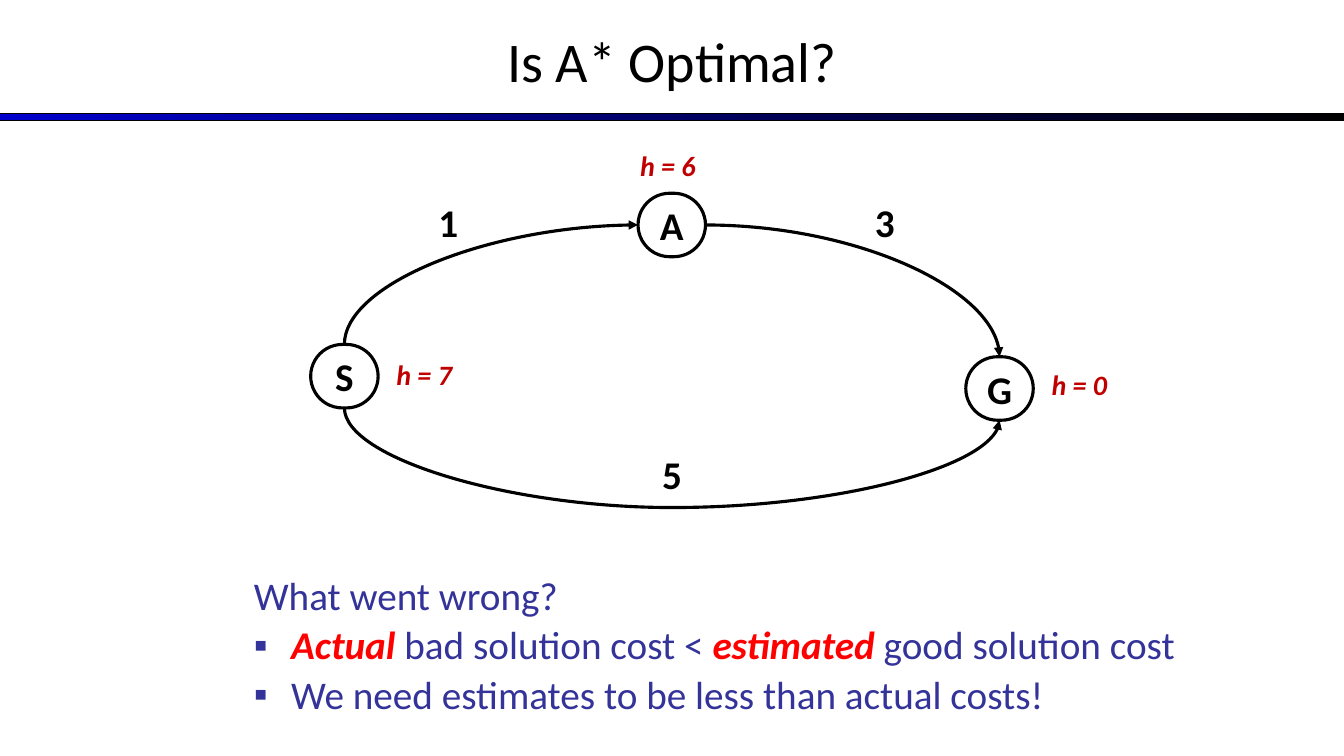
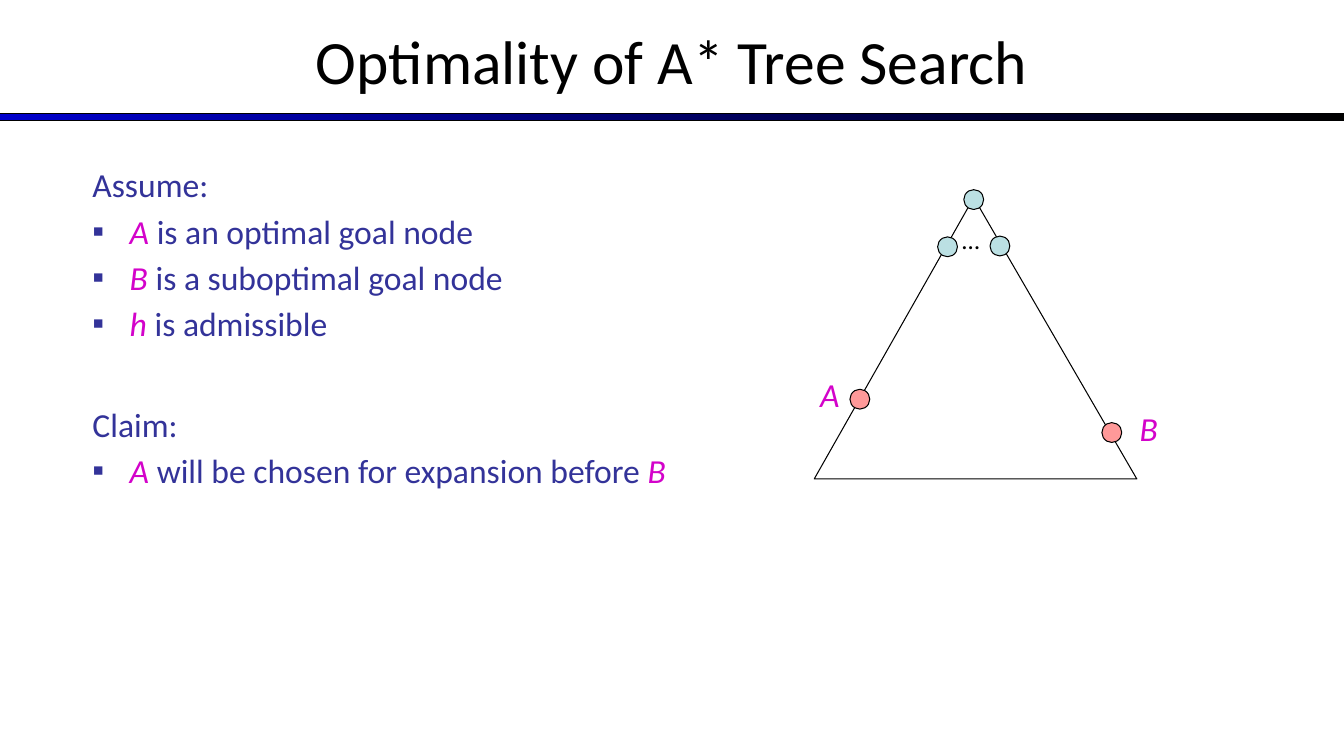
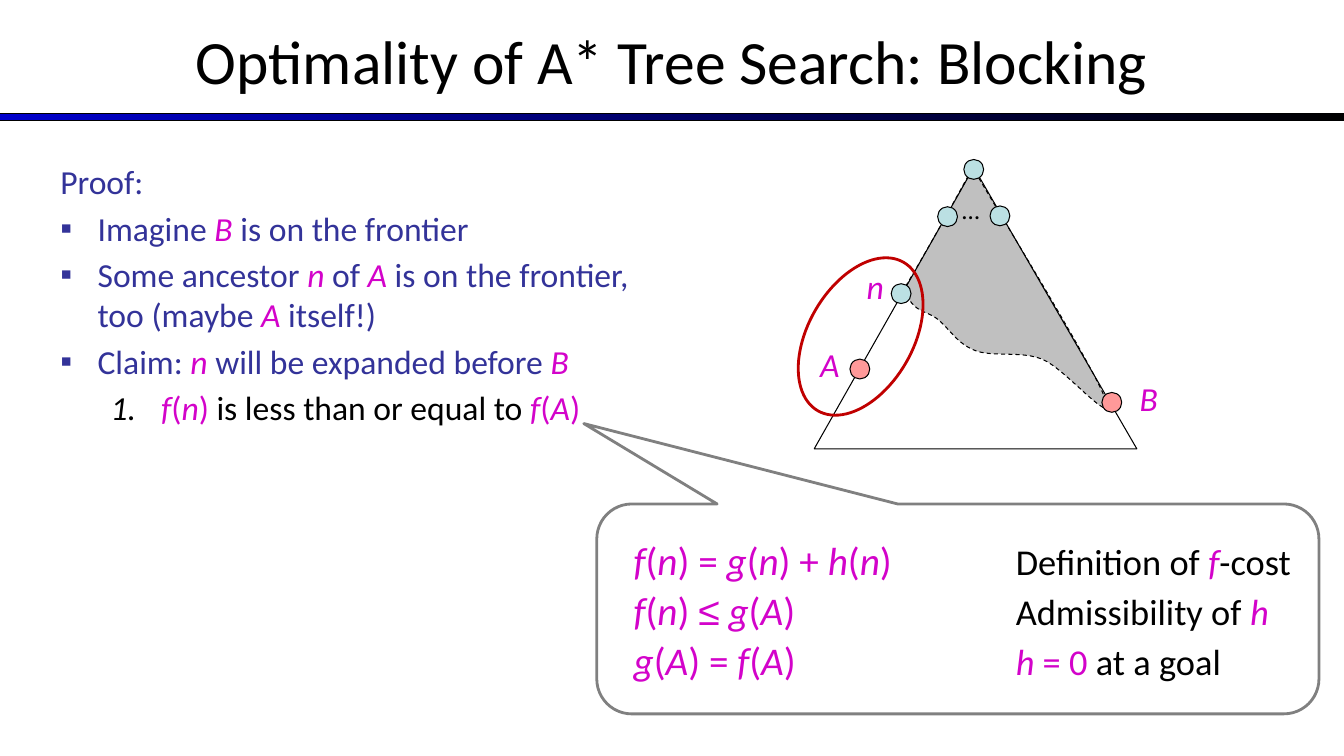
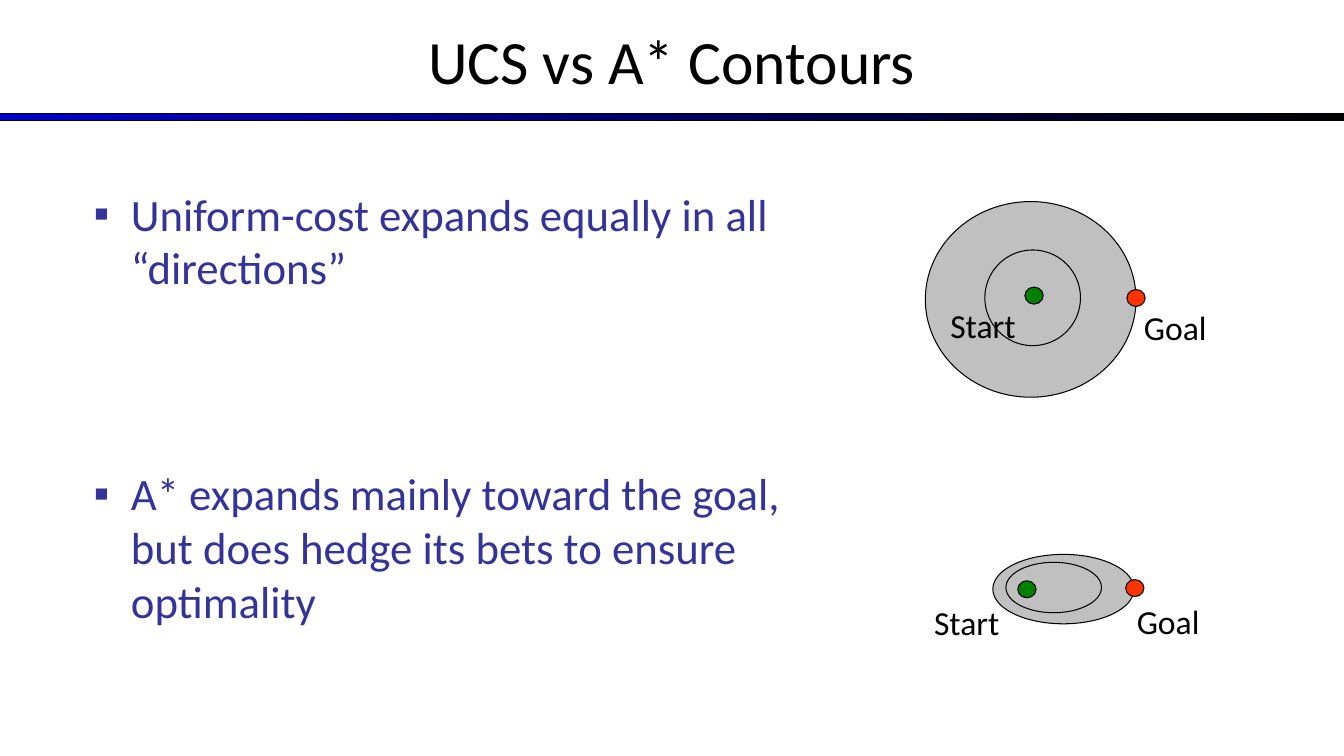
from dataclasses import dataclass
from itertools import groupby

from lxml.etree import SubElement
from pptx import Presentation
from pptx.dml.color import RGBColor
from pptx.enum.dml import MSO_LINE
from pptx.enum.shapes import MSO_CONNECTOR, MSO_SHAPE
from pptx.enum.text import MSO_ANCHOR, PP_ALIGN
from pptx.oxml.ns import qn
from pptx.util import Cm, Pt


# Colours, fonts and type sizes (points)
@dataclass(frozen=True)
class Theme:
    font: str = "Calibri"
    symbol_font: str = "Arial"
    ink: str = "000000"
    paper: str = "FFFFFF"
    band: str = "0000CC"
    body: str = "333399"
    math: str = "D303CA"
    alert: str = "FF0000"
    dark_red: str = "C00000"
    grey: str = "C0C0C0"
    callout: str = "808080"
    tree_node: str = "BBE0E3"
    goal_node: str = "FF9999"
    start: str = "008000"
    goal: str = "FF3300"
    title_size: int = 44
    small_title: int = 40
    big: int = 32
    large: int = 28
    reason: int = 26
    text: int = 24
    small: int = 20
    dots: int = 18
    thin: float = 0.75
    medium: float = 2
    thick: float = 2.25


T = Theme()
WIDTH, HEIGHT = 33.87, 19.05
BULLET, NUMBER = "▪", "1."
ALERT = dict(color=T.alert, bold=True, italic=True)
HEURISTIC = dict(size=T.small, color=T.dark_red, bold=True, italic=True)
MATH = dict(size=T.text, color=T.math)


@dataclass
class Para:
    runs: list
    bullet: str = ""
    before: float = 0
    spacing: float = 1.0


def math(text, size=None):
    """Runs of a formula: italic letters, upright signs."""
    def kind(c):
        return "letter" if c.isalpha() else "relation" if c == "≤" else "sign"

    runs = []
    for k, chars in groupby(text, kind):
        style = dict(color=T.math, italic=k == "letter")
        if k == "relation":
            style["font"] = T.symbol_font
        if size:
            style["size"] = size
        runs.append(("".join(chars), style))
    return runs


def bezier(p0, p1, p2, p3, steps=12):
    """Points along a cubic curve, without its first point."""
    points = []
    for i in range(1, steps + 1):
        t = i / steps
        u = 1 - t
        weights = (u ** 3, 3 * u * u * t, 3 * u * t * t, t ** 3)
        points.append(tuple(sum(w * p[k] for w, p in zip(weights, (p0, p1, p2, p3)))
                            for k in (0, 1)))
    return points


class Deck:
    def __init__(self, theme):
        self.t = theme
        self.prs = Presentation()
        self.prs.slide_width, self.prs.slide_height = Cm(WIDTH), Cm(HEIGHT)
        self.s = None

    def slide(self, title, size=None):
        """New slide with the gradient band and the title."""
        self.s = self.prs.slides.add_slide(self.prs.slide_layouts[6])
        band = self.shape(MSO_SHAPE.RECTANGLE, 0, 2.86, WIDTH, 0.19)
        band.fill.gradient()
        band.fill.gradient_angle = 0
        for stop, color in zip(band.fill.gradient_stops, (self.t.band, self.t.ink)):
            stop.color.rgb = RGBColor.from_string(color)
        self.label(title, 0, 0, WIDTH, 3.02, align=PP_ALIGN.CENTER,
                   anchor=MSO_ANCHOR.MIDDLE, size=size or self.t.title_size)

    # Text
    def add_runs(self, p, runs, size, color=None, bold=False, italic=False):
        base = dict(size=size, color=color or self.t.ink, bold=bold,
                    italic=italic, font=self.t.font)
        for item in runs:
            text, own = (item, {}) if isinstance(item, str) else item
            style = {**base, **own}
            r = p.add_run()
            r.text = text
            r.font.name = style["font"]
            r.font.size = Pt(style["size"])
            r.font.bold, r.font.italic = style["bold"], style["italic"]
            r.font.color.rgb = RGBColor.from_string(style["color"])

    def label(self, text, x, y, w, h, align=PP_ALIGN.LEFT, anchor=MSO_ANCHOR.TOP,
              size=T.text, **style):
        tf = self.s.shapes.add_textbox(Cm(x), Cm(y), Cm(w), Cm(h)).text_frame
        tf.word_wrap, tf.vertical_anchor = True, anchor
        tf.paragraphs[0].alignment = align
        self.add_runs(tf.paragraphs[0], [text], size, **style)

    def paragraphs(self, paras, x, y, w, h, size, color, tab=None):
        tf = self.s.shapes.add_textbox(Cm(x), Cm(y), Cm(w), Cm(h)).text_frame
        tf.word_wrap = True
        for i, para in enumerate(paras):
            p = tf.add_paragraph() if i else tf.paragraphs[0]
            p.line_spacing = para.spacing
            p.space_before = Pt(para.before or (0.18 * size if i else 0))
            self.add_runs(p, para.runs, size, color)
            pPr = p._p.get_or_add_pPr()
            if para.bullet:
                self.bullet(pPr, para.bullet)
            if tab:
                tabs = SubElement(pPr, qn("a:tabLst"))
                SubElement(tabs, qn("a:tab"), pos=str(Cm(tab)), algn="l")

    def bullet(self, pPr, mark):
        numbered = mark == NUMBER
        margin, hang = (2.54, 1.27) if numbered else (0.94, 0.94)
        pPr.set("marL", str(Cm(margin)))
        pPr.set("indent", str(-Cm(hang)))
        color = SubElement(pPr, qn("a:buClr"))
        SubElement(color, qn("a:srgbClr"), val=self.t.ink if numbered else self.t.body)
        font = self.t.font if numbered else self.t.symbol_font
        SubElement(pPr, qn("a:buFont"), typeface=font)
        if numbered:
            SubElement(pPr, qn("a:buAutoNum"), type="arabicPeriod")
        else:
            SubElement(pPr, qn("a:buChar"), char=mark)

    # Shapes
    def paint(self, sp, fill, line, weight):
        sp.shadow.inherit = False
        if fill:
            sp.fill.solid()
            sp.fill.fore_color.rgb = RGBColor.from_string(fill)
        else:
            sp.fill.background()
        sp.line.color.rgb = RGBColor.from_string(line or self.t.ink)
        sp.line.width = Pt(weight)
        return sp

    def shape(self, kind, x, y, w, h, fill=None, line=None, weight=T.thin):
        sp = self.s.shapes.add_shape(kind, Cm(x), Cm(y), Cm(w), Cm(h))
        return self.paint(sp, fill, line, weight)

    def dot(self, cx, cy, fill, w=0.5, h=0.5):
        self.shape(MSO_SHAPE.OVAL, cx - w / 2, cy - h / 2, w, h, fill)

    def state(self, name, cx, cy, w, h):
        sp = self.shape(MSO_SHAPE.ROUNDED_RECTANGLE, cx - w / 2, cy - h / 2, w, h,
                        weight=self.t.thick)
        sp.adjustments[0] = 0.5
        tf = sp.text_frame
        tf.word_wrap, tf.vertical_anchor = False, MSO_ANCHOR.MIDDLE
        tf.paragraphs[0].alignment = PP_ALIGN.CENTER
        self.add_runs(tf.paragraphs[0], [name], self.t.large, bold=True)

    def outline(self, points, fill=None, close=True):
        emu = [(Cm(x), Cm(y)) for x, y in points]
        fb = self.s.shapes.build_freeform(*emu[0], scale=1.0)
        fb.add_line_segments(emu[1:], close=close)
        return self.paint(fb.convert_to_shape(), fill, None, self.t.thin)

    def arc(self, start, end, rot=0, flip="", sag=None):
        """Curved arrow; a sag makes it hang below its start."""
        (x1, y1), (x2, y2) = start, end
        w, h = abs(x2 - x1), abs(y2 - y1)
        if rot in (90, 270):
            w, h = h, w
        cx, cy = (x1 + x2) / 2, (y1 + y2) / 2
        dx = -w / 2 if "h" in flip else w / 2
        dy = -h / 2 if "v" in flip else h / 2
        c = self.s.shapes.add_connector(MSO_CONNECTOR.CURVE, Cm(cx - dx), Cm(cy - dy),
                                        Cm(cx + dx), Cm(cy + dy))
        c.line.color.rgb = RGBColor.from_string(self.t.ink)
        c.line.width = Pt(self.t.thick)
        spPr = c._element.spPr
        spPr.find(qn("a:xfrm")).set("rot", str(rot * 60000))
        geom = spPr.find(qn("a:prstGeom"))
        if sag is None:
            geom.set("prst", "curvedConnector2")
        else:
            SubElement(geom.find(qn("a:avLst")), qn("a:gd"), name="adj1",
                       fmla=f"val {round(sag / w * 100000)}")
        SubElement(spPr.find(qn("a:ln")), qn("a:tailEnd"), type="triangle")
        SubElement(spPr, qn("a:effectLst"))


def search_tree(d, top, explored=False):
    """Search tree with its apex at top; optionally with the explored part."""
    apex = 24.54
    if explored:
        curve = [(24.49, 0.05),
                 (24.21, 0.56), (23.65, 1.6), (22.78, 3.07),
                 (23.04, 3.71), (23.34, 3.58), (23.65, 3.84),
                 (23.95, 4.09), (24.13, 4.45), (24.59, 4.62),
                 (25.02, 4.78), (25.73, 4.62), (26.26, 4.83),
                 (26.82, 5.03), (28.14, 6.65), (27.86, 5.84),
                 (27.58, 5.05), (25.25, 1.27), (apex, 0.05)]
        points = curve[:1]
        for i in range(0, len(curve) - 1, 3):
            points += bezier(*curve[i:i + 4])
        area = d.outline([(x, top + y) for x, y in points], T.grey, close=False)
        area.line.dash_style = MSO_LINE.DASH
    d.outline([(20.52, top + 7.09), (28.65, top + 7.09), (apex, top)])
    d.label("…", 24, top + 0.56, 0.76, 1.02, size=T.dots)
    for x, y, fill in [(23.88, 1.24, T.tree_node), (25.2, 1.22, T.tree_node),
                       (28.02, 5.92, T.goal_node), (21.67, 5.08, T.goal_node),
                       (apex, 0.05, T.tree_node)]:
        d.dot(x, top + y, fill)
    names = [("A", 20.42, 4.32), ("B", 28.47, 5.18)]
    if explored:
        d.dot(22.71, top + 3.18, T.tree_node)
        names.append(("n", 21.59, 2.36))
    for name, x, y in names:
        d.label(name, x, top + y, 1.22, 1.27, italic=True, **MATH)


def optimal_question(d):
    d.slide("Is A* Optimal?", T.small_title)
    d.paragraphs([
        Para(["What went wrong?"], spacing=0.9),
        Para([("Actual", ALERT), " bad solution cost < ", ("estimated", ALERT),
              " good solution cost"], BULLET, spacing=0.9),
        Para(["We need estimates to be less than actual costs!"], BULLET, spacing=0.9),
    ], 6.15, 14.4, 26.59, 3.8, T.large, T.body)

    # State graph
    w, h = 1.7, 1.6
    centers = {"A": (16.93, 5.67), "G": (25.19, 9.79), "S": (8.68, 9.48)}
    for name, center in centers.items():
        d.state(name, *center, w, h)
    (ax, ay), (gx, gy), (sx, sy) = centers.values()
    d.arc((sx, sy + h / 2), (gx, gy + h / 2), rot=270, flip="h", sag=2.51)
    d.arc((sx, sy - h / 2), (ax - w / 2, ay), rot=90, flip="hv")
    d.arc((ax + w / 2, ay), (gx, gy - h / 2))

    # Costs and heuristics
    for cost, x, y in [("1", 10.8, 4.87), ("3", 21.8, 4.87), ("5", 16.3, 11.22)]:
        align = PP_ALIGN.CENTER if cost == "5" else PP_ALIGN.LEFT
        d.label(cost, x, y, 1.27, 1.45, align=align, size=T.large, bold=True)
    for text, x, y in [("h = 6", 15.88, 3.61), ("h = 0", 26.25, 9.14),
                       ("h = 7", 9.74, 8.89)]:
        d.label(text, x, y, 2.54, 1.12, **HEURISTIC)


def tree_search(d):
    d.slide("Optimality of A* Tree Search")
    d.paragraphs([
        Para(["Assume:"]),
        Para(math("A") + [" is an optimal goal node"], BULLET),
        Para(math("B") + [" is a suboptimal goal node"], BULLET),
        Para(math("h") + [" is admissible"], BULLET),
        Para(["Claim:"], before=43),
        Para(math("A") + [" will be chosen for expansion before "] + math("B"), BULLET),
    ], 2.08, 4.01, 15.7, 12.57, T.text, T.body)
    search_tree(d, 4.98)


def blocking(d):
    d.slide("Optimality of A* Tree Search: Blocking")
    black = dict(color=T.ink)
    callout = d.shape(MSO_SHAPE.ROUNDED_RECTANGULAR_CALLOUT, 15.04, 12.7, 18.2, 5.29,
                      T.paper, T.callout, T.medium)
    for i, value in enumerate((-0.518, -0.883, 0.167)):
        callout.adjustments[i] = value
    d.paragraphs([
        Para(["Proof:"]),
        Para(["Imagine ", *math("B"), " is on the frontier"], BULLET),
        Para(["Some ancestor ", *math("n"), " of ", *math("A"),
              " is on the frontier, too (maybe ", *math("A"), " itself!)"], BULLET),
        Para(["Claim: ", *math("n"), " will be expanded before ", *math("B")], BULLET),
        Para([*math("f(n) "), ("is less than or equal to ", black), *math("f(A)")],
             NUMBER),
    ], 1.27, 3.94, 15.37, 12.57, T.text, T.body)

    # Derivation: formula, tab, reason
    reason = dict(size=T.reason)
    d.paragraphs([
        Para([*math("f(n) = g(n) + h(n)"), ("\tDefinition of ", reason),
              *math("f", T.reason), ("-cost", reason)]),
        Para([*math("f(n) ≤ g(A)"), ("\tAdmissibility of ", reason),
              *math("h", T.reason)], before=2.2),
        Para([*math("g(A) = f(A)"), "\t", *math("h = 0 ", T.reason),
              ("at a goal", reason)], before=2.2),
    ], 15.72, 13.39, 17.8, 4, T.large, T.ink, tab=9.63)

    search_tree(d, 4.22, explored=True)
    ring = d.shape(MSO_SHAPE.OVAL, 20.37, 6.32, 2.64, 4.32, None, T.dark_red, T.medium)
    ring.rotation = 30


def contours(d):
    d.slide("UCS vs A* Contours")
    d.paragraphs([
        Para(["Uniform-cost expands equally in all “directions”"], BULLET),
        Para(["A* expands mainly toward the goal, but does hedge its bets to ensure "
              "optimality"], BULLET, before=123),
    ], 2.11, 4.57, 18.62, 12.57, T.big, T.body)

    # Outer and inner contour, start and goal centres, label corners
    for outer, inner, start, goal, start_at, goal_at in [
        ((23.32, 5.08, 5.31, 4.93), (24.82, 6.3, 2.41, 2.41),
         (26.06, 7.45), (28.63, 7.51), (23.7, 7.57), (28.58, 7.62)),
        ((25.02, 13.97, 3.56, 1.75), (25.35, 14.17, 2.41, 1.27),
         (25.88, 14.85), (28.6, 14.82), (23.29, 15.04), (28.4, 15.01)),
    ]:
        d.shape(MSO_SHAPE.OVAL, *outer, T.grey)
        d.shape(MSO_SHAPE.OVAL, *inner)
        for name, center, corner, fill in [("Start", start, start_at, T.start),
                                           ("Goal", goal, goal_at, T.goal)]:
            d.dot(*center, fill, 0.46, 0.43)
            d.label(name, *corner, 2.54, 1.27)


def main():
    d = Deck(T)
    for build in (optimal_question, tree_search, blocking, contours):
        build(d)
    d.prs.save("out.pptx")


if __name__ == "__main__":
    main()
